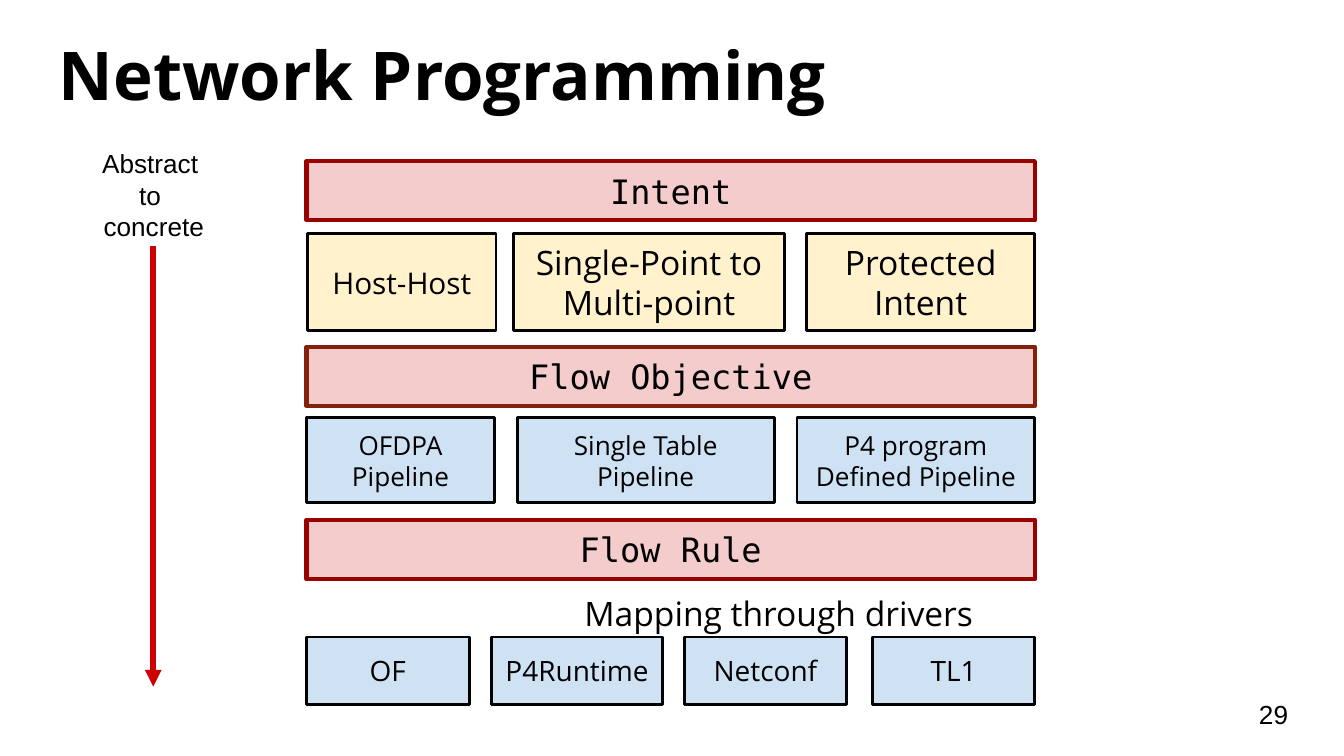
from pptx import Presentation
from pptx.dml.color import RGBColor
from pptx.enum.shapes import MSO_CONNECTOR, MSO_SHAPE
from pptx.enum.text import MSO_ANCHOR, PP_ALIGN
from pptx.oxml.ns import qn
from pptx.util import Pt
from lxml import etree

ROUND_RECT = MSO_SHAPE.ROUNDED_RECTANGLE
STRAIGHT = MSO_CONNECTOR.STRAIGHT
TOP, MIDDLE = MSO_ANCHOR.TOP, MSO_ANCHOR.MIDDLE
LEFT, CENTER = PP_ALIGN.LEFT, PP_ALIGN.CENTER

SANS, MONO, ARIAL = "Open Sans", "DejaVu Sans Mono", "Arial"
COLORS = {
    "black": "000000",
    "blue": "CFE2F3",
    "yellow": "FFF2CC",
    "pink": "F4CCCC",
    "dark_red": "990000",
    "brown": "85200C",
    "red": "CC0000",
}
STACK_LEFT, STACK_WIDTH = 164.2, 390.2
BAR_HEIGHT = 31.7

BARS = [
    ("Intent", 86.4, "dark_red"),
    ("Flow Objective", 185.8, "brown"),
    ("Flow Rule", 278.6, "dark_red"),
]
ROWS = [
    (125.3, 51.8, "yellow", [
        ("Host-Host", 164.9, 100.8, 16),
        ("Single-Point to Multi-point", 275, 145.4, 18),
        ("Protected\nIntent", 432, 122.4, 18),
    ]),
    (223.9, 45.4, "blue", [
        ("OFDPA Pipeline", 164.2, 100.8, 14),
        ("Single Table Pipeline", 277.2, 137.5, 14),
        ("P4 program\nDefined Pipeline", 427, 127.4, 14),
    ]),
    (341.3, 36, "blue", [
        ("OF", 164.2, 87.1, 15),
        ("P4Runtime", 263.5, 91.4, 15),
        ("Netconf", 366.5, 87.1, 15),
        ("TL1", 467.3, 87.1, 15),
    ]),
]


def rgb(name):
    return RGBColor.from_string(COLORS[name])


class SlideBuilder:
    def __init__(self, slide):
        self.slide = slide

    def set_text(self, sp, text, size, font, align, anchor, bold=False):
        tf = sp.text_frame
        tf.word_wrap = True
        tf.vertical_anchor = anchor
        tf.margin_left = tf.margin_right = Pt(7.2)
        tf.margin_top = tf.margin_bottom = Pt(7.2)
        tf.text = text
        for p in tf.paragraphs:
            p.alignment = align
            p.font.name = font
            p.font.size = Pt(size)
            p.font.bold = bold
            p.font.color.rgb = rgb("black")

    def box(self, text, x, y, w, h, size, fill, line="black", weight=1.5, font=SANS):
        sp = self.slide.shapes.add_shape(ROUND_RECT, Pt(x), Pt(y), Pt(w), Pt(h))
        sp.adjustments[0] = 0
        sp.shadow.inherit = False
        sp.fill.solid()
        sp.fill.fore_color.rgb = rgb(fill)
        sp.line.color.rgb = rgb(line)
        sp.line.width = Pt(weight)
        self.set_text(sp, text, size, font, CENTER, MIDDLE)

    def label(self, text, x, y, w, h, size, font, align=LEFT, anchor=TOP, bold=False):
        sp = self.slide.shapes.add_textbox(Pt(x), Pt(y), Pt(w), Pt(h))
        self.set_text(sp, text, size, font, align, anchor, bold)

    def arrow(self, x1, y1, x2, y2, color, weight):
        cxn = self.slide.shapes.add_connector(STRAIGHT, Pt(x1), Pt(y1), Pt(x2), Pt(y2))
        cxn.line.color.rgb = rgb(color)
        cxn.line.width = Pt(weight)
        sp_pr = cxn.element.find(qn("p:spPr"))
        etree.SubElement(sp_pr.find(qn("a:ln")), qn("a:tailEnd"), type="triangle")
        etree.SubElement(sp_pr, qn("a:effectLst"))


def main():
    prs = Presentation()
    prs.slide_width, prs.slide_height = Pt(720), Pt(405)
    s = SlideBuilder(prs.slides.add_slide(prs.slide_layouts[6]))

    s.label("Network Programming", 24.5, 10.8, 671, 45.4, 36, SANS, bold=True)
    for text, y, line in BARS:
        s.box(text, STACK_LEFT, y, STACK_WIDTH, BAR_HEIGHT, 18, "pink", line, 2.25, MONO)
    for y, h, fill, cells in ROWS:
        for text, x, w, size in cells:
            s.box(text, x, y, w, h, size, fill)
    s.label("29", 667.4, 367.2, 43.2, 31, 14, ARIAL, anchor=MIDDLE)
    s.arrow(82.1, 131.8, 82.1, 367.9, "red", 3)
    s.label("Abstract \nto \nconcrete", 30.2, 72, 104.4, 48.2, 14, ARIAL, CENTER)
    s.label("Mapping through drivers", 306, 310.3, 224.6, 26.6, 18, SANS)

    prs.save("out.pptx")


if __name__ == "__main__":
    main()
